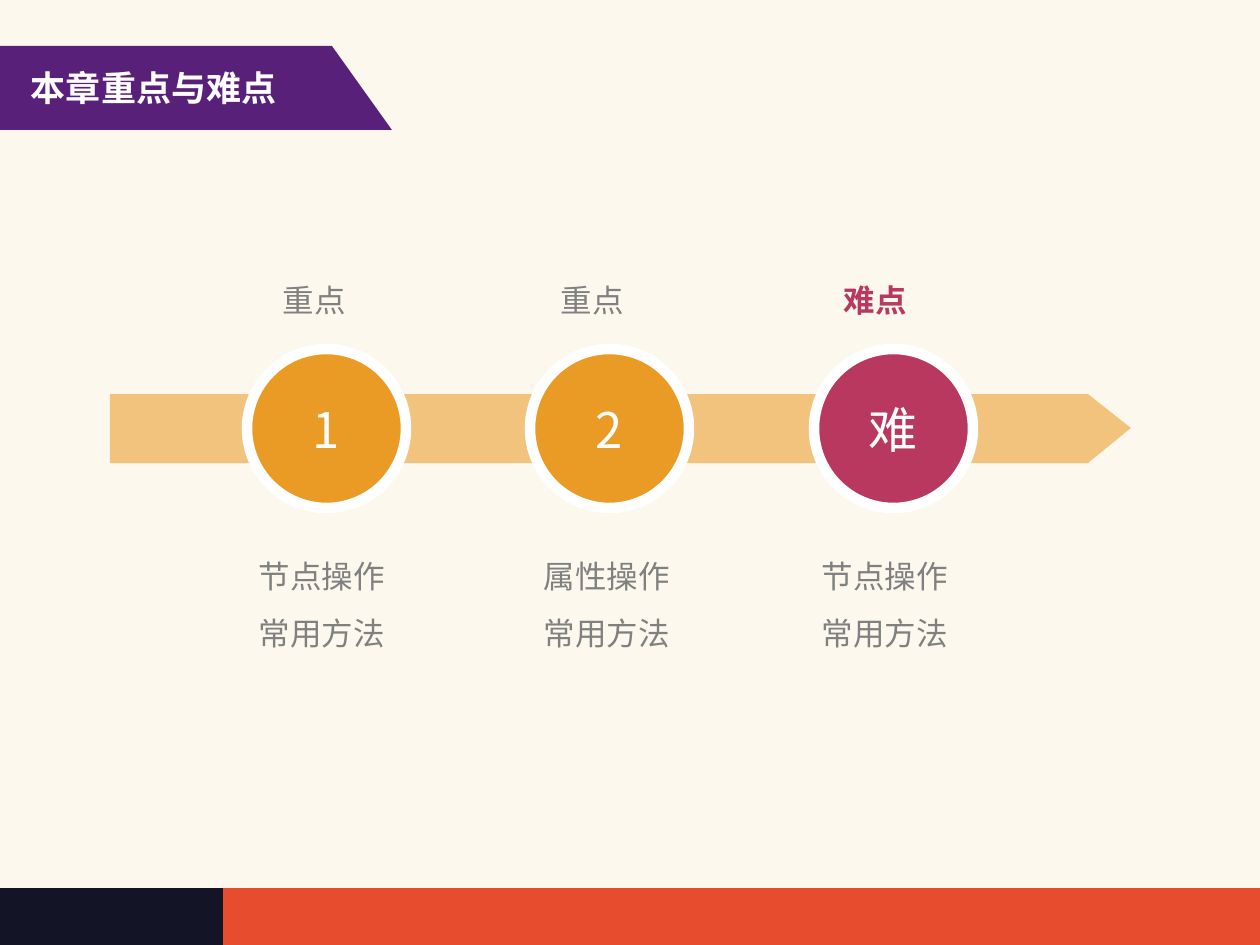
from pptx import Presentation
from pptx.dml.color import RGBColor
from pptx.enum.shapes import MSO_SHAPE as Geo
from pptx.enum.text import MSO_ANCHOR as Anchor, MSO_AUTO_SIZE as Auto, PP_ALIGN as Align
from pptx.util import Pt
from lxml.etree import SubElement

SCALE = 914400 / 126
FONT = "Noto Sans CJK SC"
CREAM, RED, NAVY, PURPLE = "FCF8ED", "E74C2E", "131426", "592079"
SAND, AMBER, ROSE, GRAY, WHITE = "F2C37D", "EA9B26", "B83860", "808080", "FFFFFF"


def px(*vals):
    return [round(v * SCALE) for v in vals]


def color(fmt, code):
    fmt.rgb = RGBColor.from_string(code)


def write(box, text, size=18, tint=GRAY, bold=False, wrap=False,
          align=Align.LEFT, anchor=Anchor.TOP, space=None):
    frame = box.text_frame
    frame.word_wrap, frame.auto_size = wrap, Auto.SHAPE_TO_FIT_TEXT
    frame.vertical_anchor = anchor
    inset, = px(6)
    frame.margin_left = frame.margin_right = inset
    frame.margin_top = frame.margin_bottom = inset
    frame.text = text
    for para in frame.paragraphs:
        para.alignment, para.line_spacing = align, space
        for run in para.runs:
            font = run.font
            font.name, font.size, font.bold = FONT, Pt(size), bold
            color(font.color, tint)
            props = run._r.get_or_add_rPr()
            tag = props.find("{*}latin").tag.replace("latin", "ea")
            SubElement(props, tag, typeface=FONT)


class Deck:
    """Holds the style and the current slide."""

    def __init__(self):
        self.prs = Presentation()
        self.prs.slide_width, self.prs.slide_height = px(1260, 945)
        self.slide = self.prs.slides.add_slide(self.prs.slide_layouts[6])
        self.shapes = self.slide.shapes

    def paint(self, shape, fill, edge=None):
        shape.shadow.inherit = False
        shape.fill.solid()
        color(shape.fill.fore_color, fill)
        if edge:
            color(shape.line.color, edge)
            shape.line.width = Pt(6)
        else:
            shape.line.fill.background()

    def rect(self, x, y, w, h, fill):
        self.paint(self.shapes.add_shape(Geo.RECTANGLE, *px(x, y, w, h)), fill)

    def poly(self, points, fill):
        pen = self.shapes.build_freeform(*points[0], scale=SCALE)
        pen.add_line_segments(points[1:], close=True)
        self.paint(pen.convert_to_shape(), fill)

    def text(self, x, y, w, h, text, **fmt):
        write(self.shapes.add_textbox(*px(x, y, w, h)), text, **fmt)

    def badge(self, x, y, size, text, high, fill):
        group = self.shapes.add_group_shape().shapes
        self.paint(group.add_shape(Geo.OVAL, *px(x, y, size, size)), fill, WHITE)
        box = group.add_textbox(*px(x + 23, y + (size - high) / 2, 112, high))
        write(box, text, size=28, tint=WHITE, wrap=True,
              align=Align.CENTER, anchor=Anchor.MIDDLE)

    def save(self):
        self.prs.save("out.pptx")


def main():
    deck = Deck()
    deck.rect(0, 0, 1260, 945, CREAM)
    deck.rect(0, 888, 1260, 57, RED)
    deck.rect(0, 888, 223, 57, NAVY)
    deck.poly([(0, 46), (332, 46), (392, 130), (0, 130)], PURPLE)
    deck.text(25, 61, 326, 62, "本章重点与难点", size=20, tint=WHITE, bold=True, wrap=True)
    deck.poly([(110, 394), (1088, 394), (1131, 428), (1088, 463), (110, 463)], SAND)

    steps = [
        ("1", 72, AMBER, "重点", 277, "节点操作", 253),
        ("2", 72, AMBER, "重点", 555, "属性操作", 538),
        ("难", 83, ROSE, "难点", 838, "节点操作", 816),
    ]
    for i, (mark, high, fill, label, left, topic, start) in enumerate(steps):
        hard = fill == ROSE
        deck.badge(247 + 567 * i // 2, 349, 159, mark, high, fill)
        deck.text(left, 275, 77, 57, label, tint=ROSE if hard else GRAY, bold=hard)
        deck.text(start, 532, 149, 122, f"{topic}\n常用方法", space=1.5)
    deck.save()


if __name__ == "__main__":
    main()
